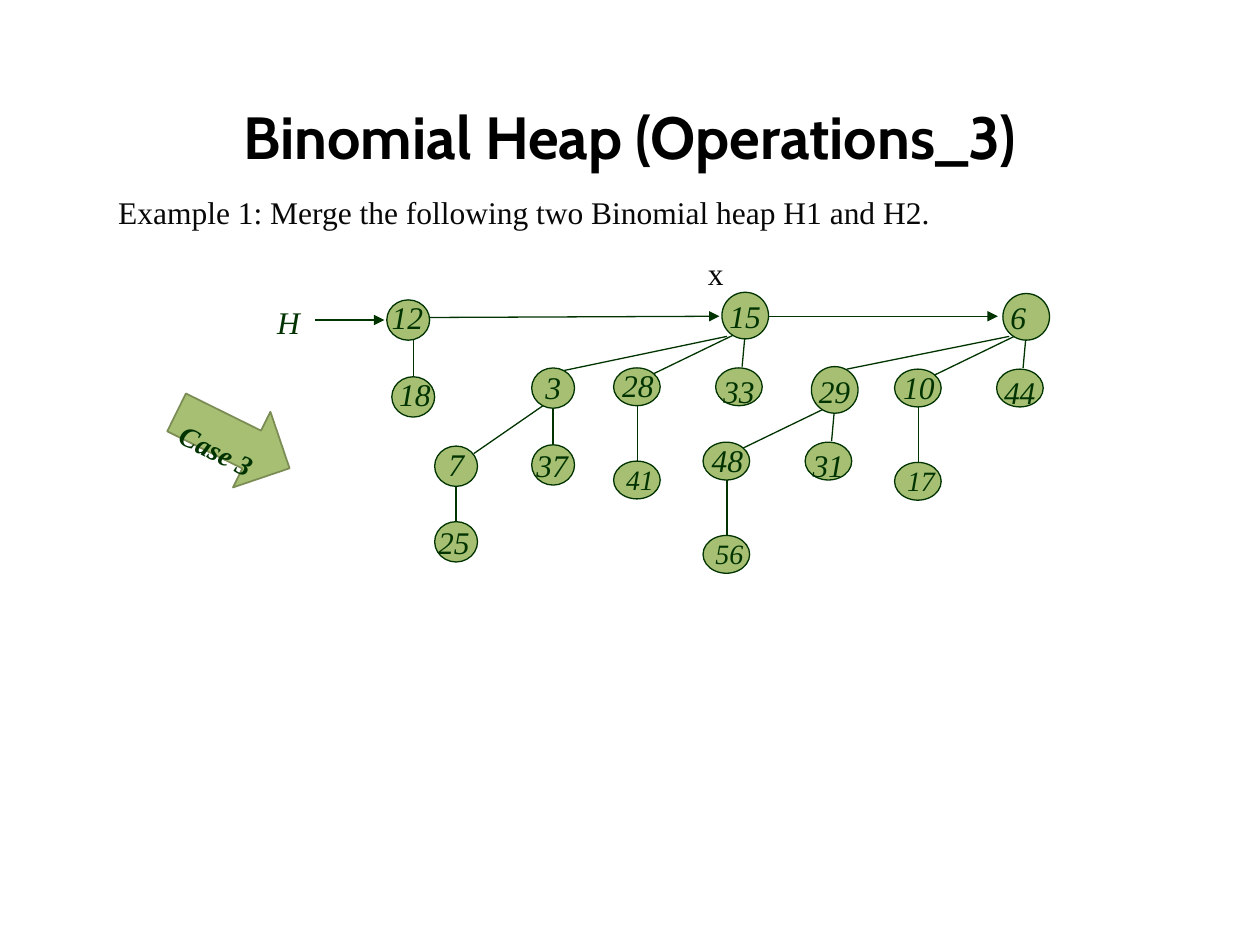
from lxml.etree import SubElement
from pptx import Presentation
from pptx.dml.color import RGBColor
from pptx.enum.shapes import MSO_CONNECTOR as CONNECTOR, MSO_SHAPE as SHAPE
from pptx.enum.text import MSO_ANCHOR as ANCHOR, PP_ALIGN as ALIGN
from pptx.oxml.ns import qn
from pptx.util import Inches, Pt

BLACK = RGBColor(0x00, 0x00, 0x00)
INK = RGBColor(0x08, 0x08, 0x08)
DARK_GREEN = RGBColor(0x00, 0x33, 0x00)
LEAF = RGBColor(0xA6, 0xBF, 0x73)
OLIVE = RGBColor(0x7B, 0x8D, 0x55)
SERIF = "Times New Roman"

TITLE = "Binomial Heap (Operations_3)"
EXAMPLE = "Example 1: Merge the following two Binomial heap H1 and H2."

# Four-node trees: position of the root, then keys of
# root, left child, left grandchild and right child
QUADS = [
    ((7.96, 2.33), ("6", "10", "17", "44")),
    ((6.44, 2.91), ("29", "48", "56", "31")),
    ((5.73, 2.32), ("15", "28", "41", "33")),
]
# Per node, relative to the root: oval place, height, label place, width, size
QUAD_NODES = [
    ((0, 0), 0.37, (-0.04, -0.01), 0.47, 18),
    ((-0.86, 0.6), 0.3, (-0.89, 0.54), 0.47, 18),
    ((-0.86, 1.34), 0.3, (-0.86, 1.3), 0.59, 16),
    ((-0.05, 0.6), 0.3, (-0.09, 0.58), 0.49, 18),
]
QUAD_EDGES = [
    ((0.18, 0.37), (0.16, 0.59)),
    ((-0.55, 0.65), (0.09, 0.34)),
    ((-0.67, 0.9), (-0.67, 1.34)),
]

# Two-node trees: (key, oval place, label shift, label width) for both nodes
PAIRS = [
    (("12", (3.07, 2.38), (-0.06, -0.06), 0.55),
     ("18", (3.11, 2.99), (-0.04, -0.06), 0.55)),
    (("7", (3.45, 3.54), (0.01, -0.06), 0.42),
     ("25", (3.45, 4.14), (-0.07, -0.04), 0.47)),
    (("3", (4.22, 2.92), (0.01, -0.05), 0.42),
     ("37", (4.22, 3.53), (-0.06, -0.04), 0.47)),
]
PAIR_WIDTH, PAIR_HEIGHT = 0.34, 0.32

# Edges that join the small trees, and the arrows of the root list
JOINS = [
    ((6.72, 2.93), (8.01, 2.67)),
    ((4.48, 2.94), (5.77, 2.67)),
    ((3.76, 3.6), (4.31, 3.22)),
]
ROOT_ARROWS = [
    ((2.5, 2.54), (3.05, 2.54)),
    ((3.41, 2.52), (5.71, 2.51)),
    ((6.1, 2.51), (7.92, 2.51)),
]


def shifted(origin, offset):
    return origin[0] + offset[0], origin[1] + offset[1]


def style_font(font, size, color, name=SERIF, bold=False, italic=False):
    font.name, font.size = name, Pt(size)
    font.bold, font.italic = bold, italic
    font.color.rgb = color


def add_shape(slide, kind, place, width, height, line_color, line_width):
    shape = slide.shapes.add_shape(
        kind, *(Inches(value) for value in (*place, width, height)))
    shape.shadow.inherit = False
    shape.fill.solid()
    shape.fill.fore_color.rgb = LEAF
    shape.line.color.rgb = line_color
    shape.line.width = Pt(line_width)
    return shape


def add_node(slide, place, width, height):
    add_shape(slide, SHAPE.OVAL, place, width, height, DARK_GREEN, 0.75)


def add_text(slide, text, place, width, height=0.4, size=18,
             color=DARK_GREEN, bold=False, italic=True):
    box = slide.shapes.add_textbox(
        *(Inches(value) for value in (*place, width, height)))
    box.text_frame.word_wrap = True
    paragraph = box.text_frame.paragraphs[0]
    paragraph.text = text
    style_font(paragraph.font, size, color, bold=bold, italic=italic)
    return box


def add_line(slide, start, end, arrow=False):
    connector = slide.shapes.add_connector(
        CONNECTOR.STRAIGHT, *(Inches(value) for value in (*start, *end)))
    connector.line.color.rgb = DARK_GREEN
    connector.line.width = Pt(0.75)
    if arrow:
        SubElement(connector.line._get_or_add_ln(), qn("a:tailEnd"), type="triangle")
    SubElement(connector._element.spPr, qn("a:effectLst"))


def main():
    presentation = Presentation()
    presentation.slide_width, presentation.slide_height = Inches(10), Inches(7.5)
    slide = presentation.slides.add_slide(presentation.slide_layouts[5])

    # Title and example
    title = slide.shapes.title
    title.left, title.top = Inches(0.5), Inches(0.68)
    title.width, title.height = Inches(9), Inches(0.79)
    title.text_frame.text = TITLE
    title.text_frame.vertical_anchor = ANCHOR.MIDDLE
    heading = title.text_frame.paragraphs[0]
    heading.alignment = ALIGN.CENTER
    style_font(heading.font, 34, BLACK, name="Cabin", bold=True)
    example = add_text(slide, EXAMPLE, (0.84, 1.48), 7.86, 0.62,
                       color=INK, italic=False)
    example.text_frame.paragraphs[0].alignment = ALIGN.JUSTIFY

    # Case arrow with its lowered caption
    arrow = add_shape(slide, SHAPE.RIGHT_ARROW, (1.35, 3.16), 1, 0.67, OLIVE, 1)
    caption = add_text(slide, "Case 3", (1.38, 3.3), 1.49, 0.42, size=28, bold=True)
    arrow.rotation = caption.rotation = 26.3
    run = caption.text_frame.paragraphs[0].runs[0]
    run.font._element.set("baseline", "-25000")

    # Four-node trees
    for root, keys in QUADS:
        for start, end in QUAD_EDGES:
            add_line(slide, shifted(root, start), shifted(root, end))
        for key, (oval, height, label, width, size) in zip(keys, QUAD_NODES):
            add_node(slide, shifted(root, oval), 0.37, height)
            add_text(slide, key, shifted(root, label), width, size=size)

    # Two-node trees
    for parent, child in PAIRS:
        center = child[1][0] + PAIR_WIDTH / 2
        add_line(slide, (center, parent[1][1] + PAIR_HEIGHT), (center, child[1][1]))
        for key, place, shift, width in (parent, child):
            add_node(slide, place, PAIR_WIDTH, PAIR_HEIGHT)
            add_text(slide, key, shifted(place, shift), width)

    # Joins, root list and pointers
    for start, end in JOINS:
        add_line(slide, start, end)
    for start, end in ROOT_ARROWS:
        add_line(slide, start, end, arrow=True)
    add_text(slide, "H", (2.1, 2.36), 0.61)
    pointer = add_text(slide, "x", (5.52, 2), 0.36, 0.37, color=INK, italic=False)
    pointer.text_frame.paragraphs[0].line_spacing = 0.9

    presentation.save("out.pptx")


if __name__ == "__main__":
    main()
